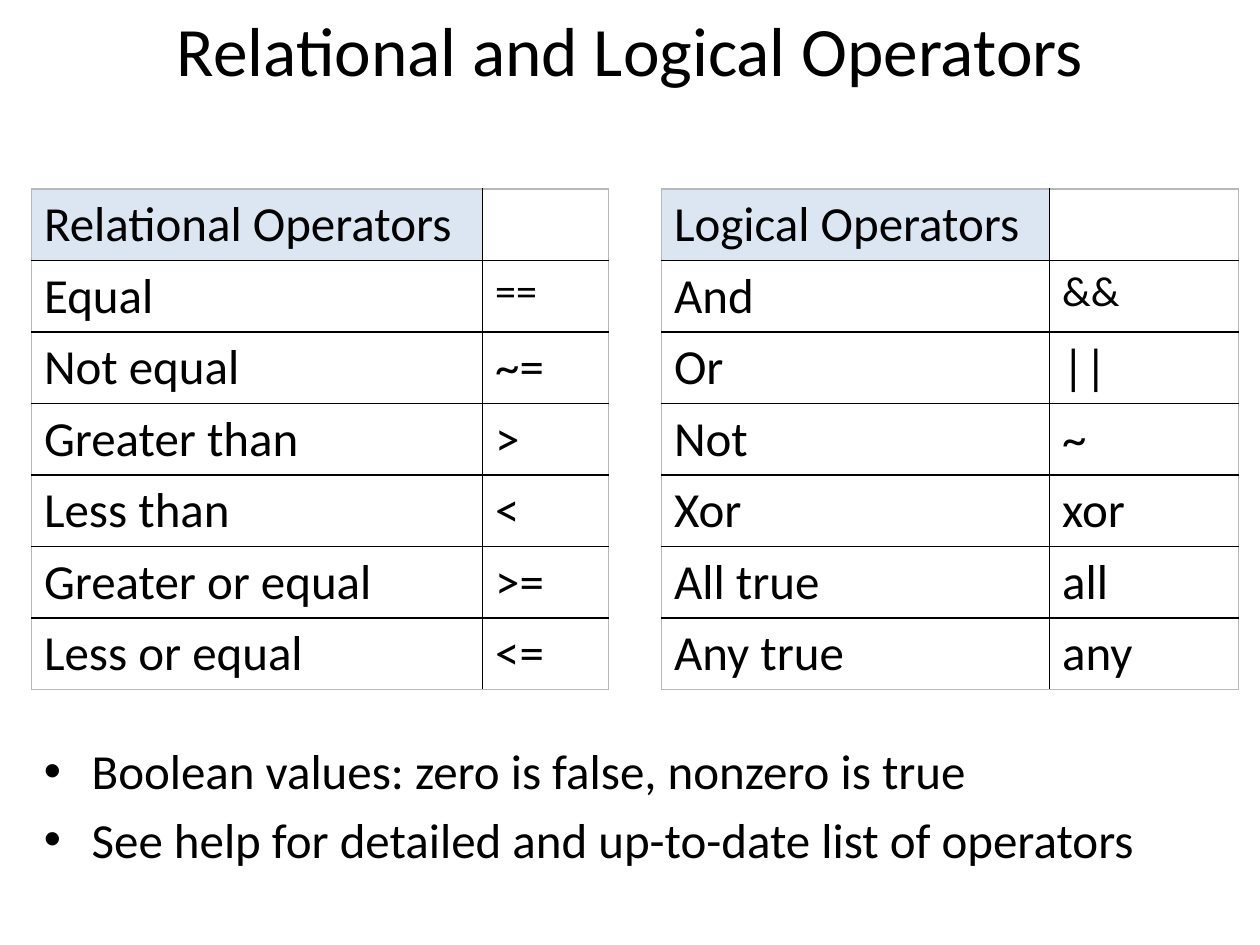
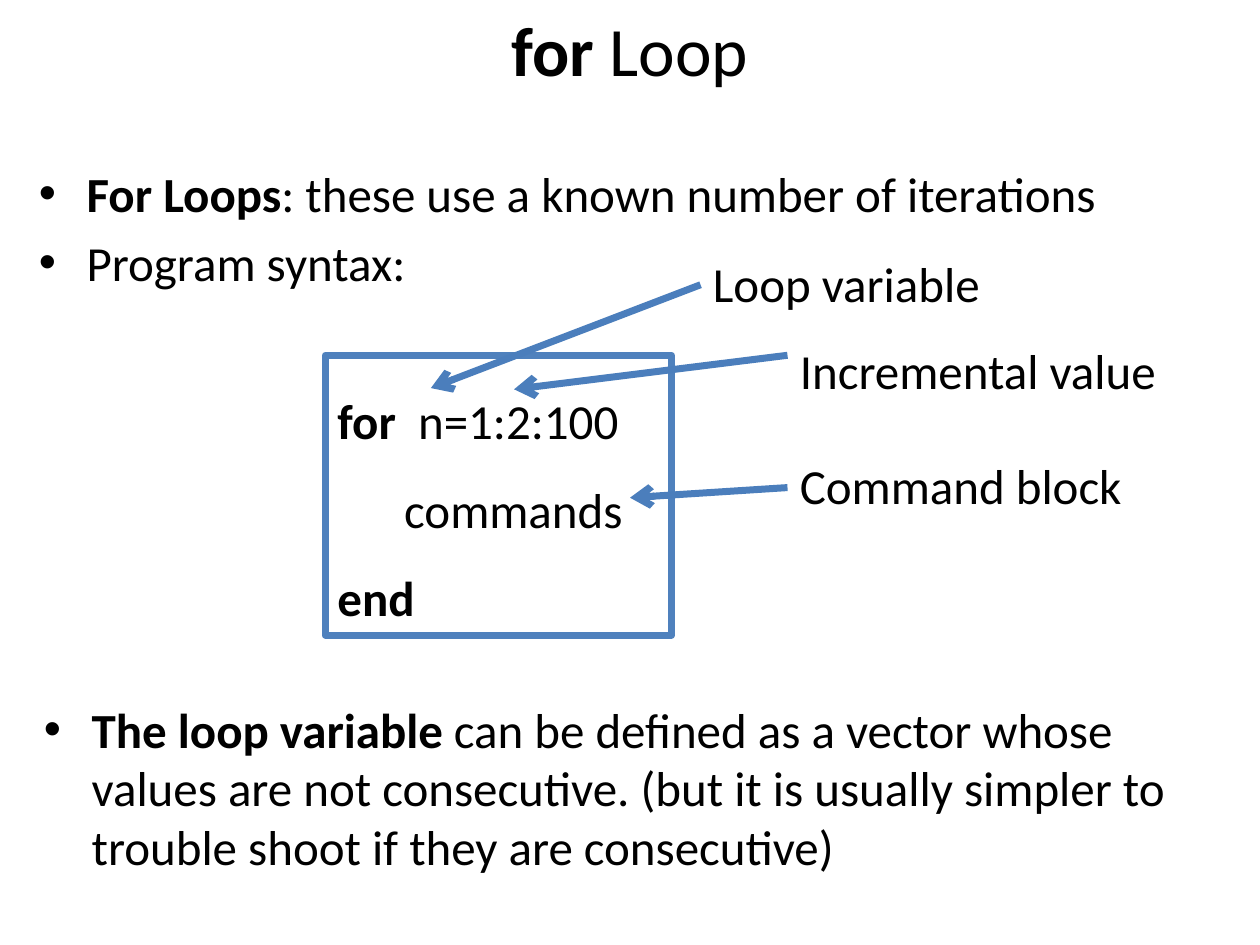
import pptx
import pptx.util
import pptx.dml.color
import pptx.enum.text
import pptx.enum.shapes
import pptx.oxml
import pptx.oxml.ns

Inches = pptx.util.Inches
Pt = pptx.util.Pt
Anchor = pptx.enum.text.MSO_ANCHOR
Align = pptx.enum.text.PP_ALIGN

FONT = "Calibri"
BLACK, GRID_EDGE, HEADING_FILL = "000000", "B8B8B8", "DCE6F2"
BOX_LINE, ARROW_LINE = "4F81BD", "4B7EBC"
BODY_SIZE, SYMBOL_SIZE, TITLE_SIZE = 28, 24, 39.6
BULLET_INDENT = 0.38
GRID_TOP, GRID_HEIGHT = 1.5, 3.97

OPERATORS_TITLE = ["Relational and Logical Operators"]
OPERATOR_GRIDS = [
    {"left": 0.25, "columns": (3.58, 1), "rows": [
        ("Relational Operators", ""), ("Equal", "=="), ("Not equal", "~="),
        ("Greater than", ">"), ("Less than", "<"),
        ("Greater or equal", ">="), ("Less or equal", "<=")]},
    {"left": 5.25, "columns": (3.08, 1.5), "rows": [
        ("Logical Operators", ""), ("And", "&&"), ("Or", "||"), ("Not", "~"),
        ("Xor", "xor"), ("All true", "all"), ("Any true", "any")]},
]
OPERATOR_NOTES = {"at": (0.25, 5.83, 9.67, 1.17), "paragraphs": [
    ["Boolean values: zero is false, nonzero is true"],
    ["See help for detailed and up-to-date list of operators"]]}

LOOP_TITLE = [("for", True), " Loop"]
LOOP_NOTES = [
    {"at": (0.21, 1.25, 9.67, 1.17), "paragraphs": [
        [("For Loops", True), ": these use a known number of iterations"],
        ["Program syntax:"]]},
    {"at": (0.25, 5.5, 9.17, 1.67), "paragraphs": [
        [("The loop variable ", True),
         "can be defined as a vector whose values are not consecutive. "
         "(but it is usually simpler to trouble shoot if they are consecutive)"]]},
]
LOOP_CODE_AT = (2.58, 2.82, 2.75, 2.22)
LOOP_CODE = [[("for", True), "\tn=1:2:100"], ["commands"], [("end", True)]]
COMMAND_INDENT, VARIABLE_TAB = 0.53, 0.64
CALLOUTS = [
    {"text": "Loop variable", "at": (5.56, 1.96, 2.42, 0.6),
     "start": (5.58, 2.25), "tip": (3.42, 3.08), "joined": True},
    {"text": "Command block", "at": (6.25, 3.57, 2.83, 0.6),
     "start": (6.25, 3.87), "tip": (5, 3.95), "joined": True},
    {"text": "Incremental value", "at": (6.25, 2.65, 3.17, 0.6),
     "start": (6.25, 2.82), "tip": (4.08, 3.09), "joined": False},
]


def rgb(color):
    return pptx.dml.color.RGBColor.from_string(color)


def inches(values):
    return [Inches(value) for value in values]


def xml(markup):
    tag, rest = markup[1:].split(" ", 1)
    return pptx.oxml.parse_xml(f"<{tag} {pptx.oxml.ns.nsdecls('a')} {rest}")


def write(frame, paragraphs, size=BODY_SIZE, color=BLACK, align=Align.LEFT,
          anchor=Anchor.TOP, before=None, spacing=None, bullet=False):
    frame.word_wrap = True
    frame.vertical_anchor = anchor
    for index, runs in enumerate(paragraphs):
        paragraph = frame.add_paragraph() if index else frame.paragraphs[0]
        paragraph.alignment = align
        if before is not None:
            paragraph.space_before = Pt(before)
        if spacing:
            paragraph.line_spacing = spacing
        if bullet:
            properties = paragraph._p.get_or_add_pPr()
            properties.set("marL", str(Inches(BULLET_INDENT)))
            properties.set("indent", str(-Inches(BULLET_INDENT)))
            properties.append(xml('<a:buFont typeface="Arial"/>'))
            properties.append(xml('<a:buChar char="•"/>'))
        for part in runs:
            text, bold = (part, False) if isinstance(part, str) else part
            run = paragraph.add_run()
            run.text = text
            run.font.name = FONT
            run.font.size = Pt(size)
            run.font.bold = bold
            run.font.color.rgb = rgb(color)


def add_titled_slide(deck, title_runs):
    slide = deck.slides.add_slide(deck.slide_layouts[5])
    title = slide.shapes.title
    title.left, title.top, title.width, title.height = inches((0.5, 0, 9, 0.78))
    title.text_frame.auto_size = pptx.enum.text.MSO_AUTO_SIZE.NONE
    write(title.text_frame, [title_runs], size=TITLE_SIZE,
          align=Align.CENTER, anchor=Anchor.MIDDLE)
    return slide


def add_text(slide, at, paragraphs, bullet=False):
    box = slide.shapes.add_textbox(*inches(at))
    write(box.text_frame, paragraphs, before=BODY_SIZE * 0.2, bullet=bullet)
    return box


def set_borders(cell, outer_sides):
    properties = cell._tc.get_or_add_tcPr()
    for position, (side, outer) in enumerate(zip("LRTB", outer_sides)):
        color = GRID_EDGE if outer else BLACK
        properties.insert(position, xml(
            f'<a:ln{side} w="{Pt(1)}"><a:solidFill><a:srgbClr val="{color}"/>'
            f'</a:solidFill></a:ln{side}>'))


def add_operator_grid(slide, grid):
    rows, columns = grid["rows"], grid["columns"]
    last_row, last_column = len(rows) - 1, len(columns) - 1
    table = slide.shapes.add_table(
        len(rows), len(columns),
        *inches((grid["left"], GRID_TOP, sum(columns), GRID_HEIGHT))).table
    table.first_row = table.horz_banding = False
    for column, width in zip(table.columns, columns):
        column.width = Inches(width)
    for r, row in enumerate(rows):
        for c, text in enumerate(row):
            cell = table.cell(r, c)
            if (r, c) == (0, 0):
                cell.fill.solid()
                cell.fill.fore_color.rgb = rgb(HEADING_FILL)
            else:
                cell.fill.background()
            if text:
                size = SYMBOL_SIZE if (r, c) == (1, 1) else BODY_SIZE
                write(cell.text_frame, [[text]], size=size)
            set_borders(cell, (c == 0, c == last_column, r == 0, r == last_row))


def add_loop_code(slide):
    code = slide.shapes.add_shape(
        pptx.enum.shapes.MSO_SHAPE.RECTANGLE, *inches(LOOP_CODE_AT))
    code.shadow.inherit = False
    code.fill.background()
    code.line.color.rgb = rgb(BOX_LINE)
    code.line.width = Pt(4)
    write(code.text_frame, LOOP_CODE, spacing=1.5)
    opening, commands, _ = code.text_frame.paragraphs
    opening._p.get_or_add_pPr().append(xml(
        f'<a:tabLst ><a:tab pos="{Inches(VARIABLE_TAB)}" algn="l"/></a:tabLst>'))
    commands._p.get_or_add_pPr().set("marL", str(Inches(COMMAND_INDENT)))


def add_callout(slide, callout):
    label = add_text(slide, callout["at"], [[callout["text"]]])
    arrow = slide.shapes.add_connector(
        pptx.enum.shapes.MSO_CONNECTOR.STRAIGHT,
        *inches(callout["start"] + callout["tip"]))
    if callout["joined"]:
        arrow.begin_connect(label, 1)
    arrow.line.color.rgb = rgb(ARROW_LINE)
    arrow.line.width = Pt(4)
    arrow.line._get_or_add_ln().append(xml('<a:tailEnd type="arrow"/>'))
    arrow._element.spPr.append(xml("<a:effectLst />"))


def main():
    deck = pptx.Presentation()
    deck.slide_width, deck.slide_height = inches((10, 7.5))

    operators = add_titled_slide(deck, OPERATORS_TITLE)
    add_text(operators, **OPERATOR_NOTES, bullet=True)
    for grid in OPERATOR_GRIDS:
        add_operator_grid(operators, grid)

    loop = add_titled_slide(deck, LOOP_TITLE)
    add_loop_code(loop)
    for note in LOOP_NOTES:
        add_text(loop, **note, bullet=True)
    for callout in CALLOUTS:
        add_callout(loop, callout)

    deck.save("out.pptx")


if __name__ == "__main__":
    main()
